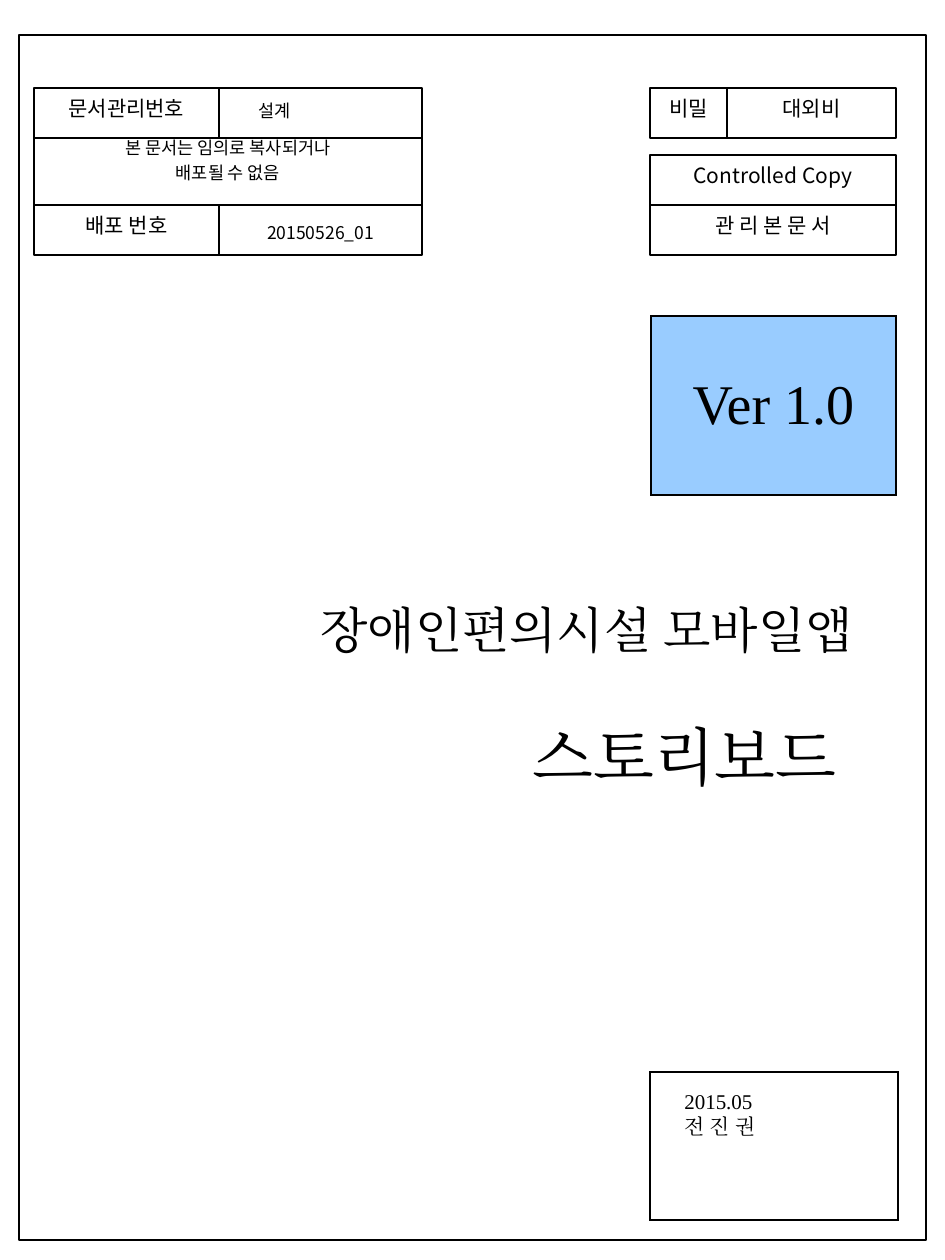
from lxml import etree
from pptx import Presentation
from pptx.dml.color import RGBColor
from pptx.enum.shapes import MSO_SHAPE
from pptx.enum.text import MSO_ANCHOR, PP_ALIGN
from pptx.oxml.ns import qn
from pptx.util import Pt

RECT = MSO_SHAPE.RECTANGLE
TOP, MID = MSO_ANCHOR.TOP, MSO_ANCHOR.MIDDLE
LEFT, MITTE, RIGHT = PP_ALIGN.LEFT, PP_ALIGN.CENTER, PP_ALIGN.RIGHT
PX = 914400 // 126
SIZE = (945, 1260)
THEME = {
    "ink": "000000", "paper": "FFFFFF", "sky": "99CCFF",
    "sans": "Noto Sans CJK KR", "serif": "Times New Roman",
    "note": 10, "label": 12, "title": 28, "ver": 32, "head": 36,
    "thin": 0.75, "grid": 1, "thick": 1.5,
}

# Content: box, lines, size, line spacing, anchor
LABELS = [
    ((727, 88, 169, 50), ["대외비"], "label", 1.25, TOP),
    ((650, 88, 77, 50), ["비밀"], "label", 1.25, TOP),
    ((650, 155, 246, 50), ["Controlled Copy"], "label", 1.25, TOP),
    ((650, 205, 246, 50), ["관 리 본 문 서"], "label", 1.25, TOP),
    ((219, 88, 203, 50), [], "label", 1.25, TOP),
    ((34, 88, 185, 50), ["문서관리번호"], "label", 1.25, TOP),
    ((34, 138, 388, 67), ["본 문서는 임의로 복사되거나", "배포될 수 없음"],
     "note", 0.95, TOP),
    ((219, 205, 203, 50), ["20150526_01"], "note", 1.25, MID),
    ((34, 205, 185, 50), ["배포 번호"], "label", 1.25, TOP),
]
# Content: box, text, fill
TABLES = [
    ((651, 316, 245, 179), "Ver 1.0", "sky"),
    ((650, 1072, 248, 148), "", None),
]
# Content: box, (text, size) lines, font, align, anchor, gap
TEXTS = [
    ((49, 592, 816, 208), [("장애인편의시설 모바일앱", "title"), ("스토리보드 ", "head")],
     "serif", RIGHT, MID, 34),
    ((672, 1082, 166, 64), [("2015.05", "label"), ("전 진 권", "label")],
     "serif", LEFT, TOP, 0),
    ((246, 94, 147, 34), [("설계", "note")], "sans", LEFT, TOP, 0),
]
FRAME = (19, 35, 907, 1205)


def scale(box):
    return [v * PX for v in box]


def color(key):
    return RGBColor.from_string(THEME[key])


def apply(item, **values):
    for key, value in values.items():
        setattr(item, key, value)


def write(frame, lines, font, align, gap=0, space=None):
    for i, (text, size) in enumerate(lines):
        para = frame.add_paragraph() if i else frame.paragraphs[0]
        apply(para, alignment=align, line_spacing=space,
              space_before=Pt(gap if i else 0))
        run = para.add_run()
        run.text = text
        apply(run.font, name=THEME[font], size=Pt(THEME[size]))
        run.font.color.rgb = color("ink")
        east = etree.SubElement(run.font._element, qn("a:ea"))
        east.set("typeface", THEME[font])


def add_box(box, fill, width):
    rect = slide.shapes.add_shape(RECT, *scale(box))
    rect.shadow.inherit = False
    if fill:
        rect.fill.solid()
        rect.fill.fore_color.rgb = color(fill)
    else:
        rect.fill.background()
    rect.line.color.rgb = color("ink")
    rect.line.width = Pt(THEME[width])
    return rect


def add_edges(cell):
    props = cell._tc.get_or_add_tcPr()
    for i, side in enumerate(("lnL", "lnR", "lnT", "lnB")):
        line = etree.Element(qn("a:" + side), w=str(Pt(THEME["grid"])))
        fill = etree.SubElement(line, qn("a:solidFill"))
        etree.SubElement(fill, qn("a:srgbClr"), val=THEME["ink"])
        props.insert(i, line)


deck = Presentation()
deck.slide_width, deck.slide_height = scale(SIZE)
slide = deck.slides.add_slide(deck.slide_layouts[6])

# Document control boxes
for box, lines, size, space, anchor in LABELS:
    frame = add_box(box, "paper", "thin").text_frame
    apply(frame, word_wrap=True, vertical_anchor=anchor, margin_left=0,
          margin_right=0, margin_top=PX if anchor == TOP else 0, margin_bottom=0)
    write(frame, [(line, size) for line in lines], "sans", MITTE, 2.5, space)

# Version and author tables
for box, text, fill in TABLES:
    table = slide.shapes.add_table(1, 1, *scale(box)).table
    apply(table, first_row=False, horz_banding=False)
    cell = table.cell(0, 0)
    cell.vertical_anchor = MID
    if fill:
        cell.fill.solid()
        cell.fill.fore_color.rgb = color(fill)
    else:
        cell.fill.background()
    if text:
        write(cell.text_frame, [(text, "ver")], "serif", MITTE)
    add_edges(cell)

# Page frame
add_box(FRAME, None, "thick")

# Titles, date and stage
for box, lines, font, align, anchor, gap in TEXTS:
    frame = slide.shapes.add_textbox(*scale(box)).text_frame
    apply(frame, word_wrap=True, vertical_anchor=anchor)
    write(frame, lines, font, align, gap)

deck.save("out.pptx")
